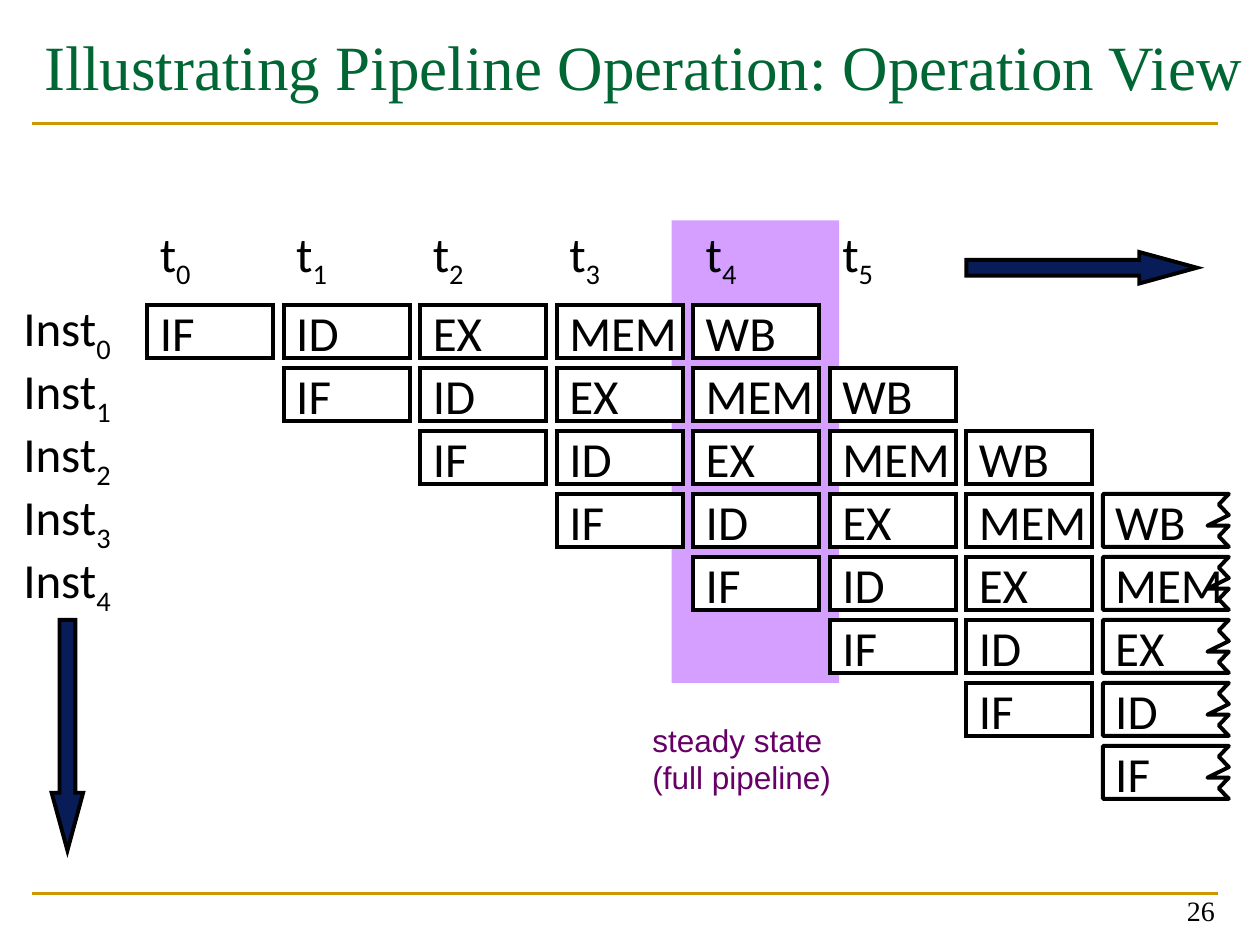
from dataclasses import dataclass

from lxml.etree import SubElement
from pptx import Presentation
from pptx.dml.color import RGBColor
from pptx.enum.shapes import MSO_CONNECTOR as Connector, MSO_SHAPE as Preset
from pptx.enum.text import MSO_ANCHOR as Anchor, MSO_AUTO_SIZE as AutoSize, PP_ALIGN as Align
from pptx.oxml.ns import qn
from pptx.util import Inches, Pt

COLORS = {
    "black": "000000",
    "white": "FFFFFF",
    "rule": "CC9900",
    "title": "006633",
    "steady": "D49FFF",
    "arrow": "081D58",
    "note": "660066",
}
STAGES = ("IF", "ID", "EX", "MEM", "WB")
INSTRUCTIONS = 8
LABELED_INSTRUCTIONS = 5
LABELED_TIMES = 6
TORN_COLUMN = 7
GRID_LEFT, GRID_TOP = 1.17, 2.42
COLUMN_PITCH, ROW_PITCH = 13 / 12, 0.5
CELL_WIDTH, CELL_HEIGHT = 1, 0.42
TORN_EDGE = ((1, 0), (0, 0), (0, 1), (1, 1), (0.92, 0.8), (1, 0.6),
             (0.83, 0.6), (1, 0.4), (0.92, 0.2))


@dataclass(frozen=True)
class Area:
    left: float
    top: float
    width: float
    height: float

    def lengths(self) -> tuple:
        return tuple(Inches(n) for n in (self.left, self.top, self.width, self.height))


@dataclass(frozen=True)
class Arrow:
    area: Area
    rotation: int


ARROWS = (
    Arrow(Area(7.67, 2, 1.83, 0.25), 0),
    Arrow(Area(-0.38, 5.71, 1.83, 0.25), 90),
)


def color(name: str) -> RGBColor:
    return RGBColor.from_string(COLORS[name])


def cell_area(column: int, row: int) -> Area:
    return Area(GRID_LEFT + column * COLUMN_PITCH, GRID_TOP + row * ROW_PITCH,
                CELL_WIDTH, CELL_HEIGHT)


def style(para, font_name: str, size: int, color_name: str, align=Align.LEFT) -> None:
    para.alignment = align
    para.font.name = font_name
    para.font.size = Pt(size)
    para.font.color.rgb = color(color_name)


def outline(shape) -> None:
    shape.line.color.rgb = color("black")
    shape.line.width = Pt(2.25)


def add_block(slide, area: Area, fill: str, preset=Preset.RECTANGLE, outlined: bool = False):
    block = slide.shapes.add_shape(preset, *area.lengths())
    block.shadow.inherit = False
    block.fill.solid()
    block.fill.fore_color.rgb = color(fill)
    if outlined:
        outline(block)
        SubElement(block.line._get_or_add_ln(), qn("a:miter"), lim="800000")
    else:
        block.line.fill.background()
    return block


def write_label(box, text: str, subscript: str = "") -> None:
    frame = box.text_frame
    frame.word_wrap = False
    frame.vertical_anchor = Anchor.MIDDLE
    para = frame.paragraphs[0]
    style(para, "Calibri", 28, "black")
    para.add_run().text = text
    if subscript:
        span = para.add_run()
        span.text = subscript
        span.font._element.set("baseline", "-25000")


def add_torn_outline(slide, area: Area) -> None:
    points = [(Inches(area.left + x * area.width), Inches(area.top + y * area.height))
              for x, y in TORN_EDGE]
    builder = slide.shapes.build_freeform(*points[0])
    builder.add_line_segments(points[1:], close=True)
    edge = builder.convert_to_shape()
    edge.shadow.inherit = False
    edge.fill.background()
    outline(edge)


def add_stage(slide, stage: str, column: int, row: int) -> None:
    area = cell_area(column, row)
    torn = column == TORN_COLUMN
    write_label(add_block(slide, area, "white", outlined=not torn), stage)
    if torn:
        add_torn_outline(slide, area)


def add_rule(slide, top: float) -> None:
    rule = slide.shapes.add_connector(
        Connector.STRAIGHT, Inches(0.25), Inches(top), Inches(9.67), Inches(top))
    rule.line.color.rgb = color("rule")
    rule.line.width = Pt(1.5)
    SubElement(rule._element.spPr, qn("a:effectLst"))


def add_arrow(slide, arrow: Arrow) -> None:
    shape = add_block(slide, arrow.area, "arrow", Preset.RIGHT_ARROW, outlined=True)
    shape.adjustments[0] = 0.5
    shape.adjustments[1] = 1.83
    shape.rotation = arrow.rotation


def set_title(slide, text: str) -> None:
    title = slide.shapes.title
    title.left, title.top, title.width, title.height = Area(0.25, 0.17, 9.75, 1.17).lengths()
    frame = title.text_frame
    frame.text = text
    frame.auto_size = AutoSize.NONE
    frame.vertical_anchor = Anchor.TOP
    style(frame.paragraphs[0], "Times New Roman", 36, "title")


def add_page_number(slide, number: str) -> None:
    frame = slide.shapes.add_textbox(*Area(7.41, 6.91, 2.33, 0.5).lengths()).text_frame
    frame.word_wrap = True
    frame.vertical_anchor = Anchor.BOTTOM
    frame.text = number
    style(frame.paragraphs[0], "Times New Roman", 16, "black", Align.RIGHT)


def add_steady_note(slide) -> None:
    frame = slide.shapes.add_textbox(*Area(5.08, 5.67, 1.63, 0.71).lengths()).text_frame
    frame.word_wrap = False
    frame.auto_size = AutoSize.SHAPE_TO_FIT_TEXT
    frame.text = "steady state\n(full pipeline)"
    for para in frame.paragraphs:
        style(para, "Arial", 18, "note")


def main() -> None:
    deck = Presentation()
    deck.slide_width, deck.slide_height = Inches(10), Inches(7.5)
    slide = deck.slides.add_slide(deck.slide_layouts[5])

    for top in (7.09, 0.98):
        add_rule(slide, top)
    set_title(slide, "Illustrating Pipeline Operation: Operation View")
    add_page_number(slide, "26")

    add_block(slide, Area(5.33, 1.75, 1.33, 3.67), "steady")
    for time in range(LABELED_TIMES):
        area = Area(GRID_LEFT + time * COLUMN_PITCH, 1.83, CELL_WIDTH, CELL_HEIGHT)
        write_label(slide.shapes.add_textbox(*area.lengths()), "t", str(time))
    for row in range(LABELED_INSTRUCTIONS):
        write_label(add_block(slide, cell_area(-1, row), "white"), "Inst", str(row))
    for row in range(INSTRUCTIONS):
        for column, stage in enumerate(STAGES, start=row):
            if column <= TORN_COLUMN:
                add_stage(slide, stage, column, row)

    for arrow in ARROWS:
        add_arrow(slide, arrow)
    add_steady_note(slide)
    deck.save("out.pptx")


if __name__ == "__main__":
    main()
